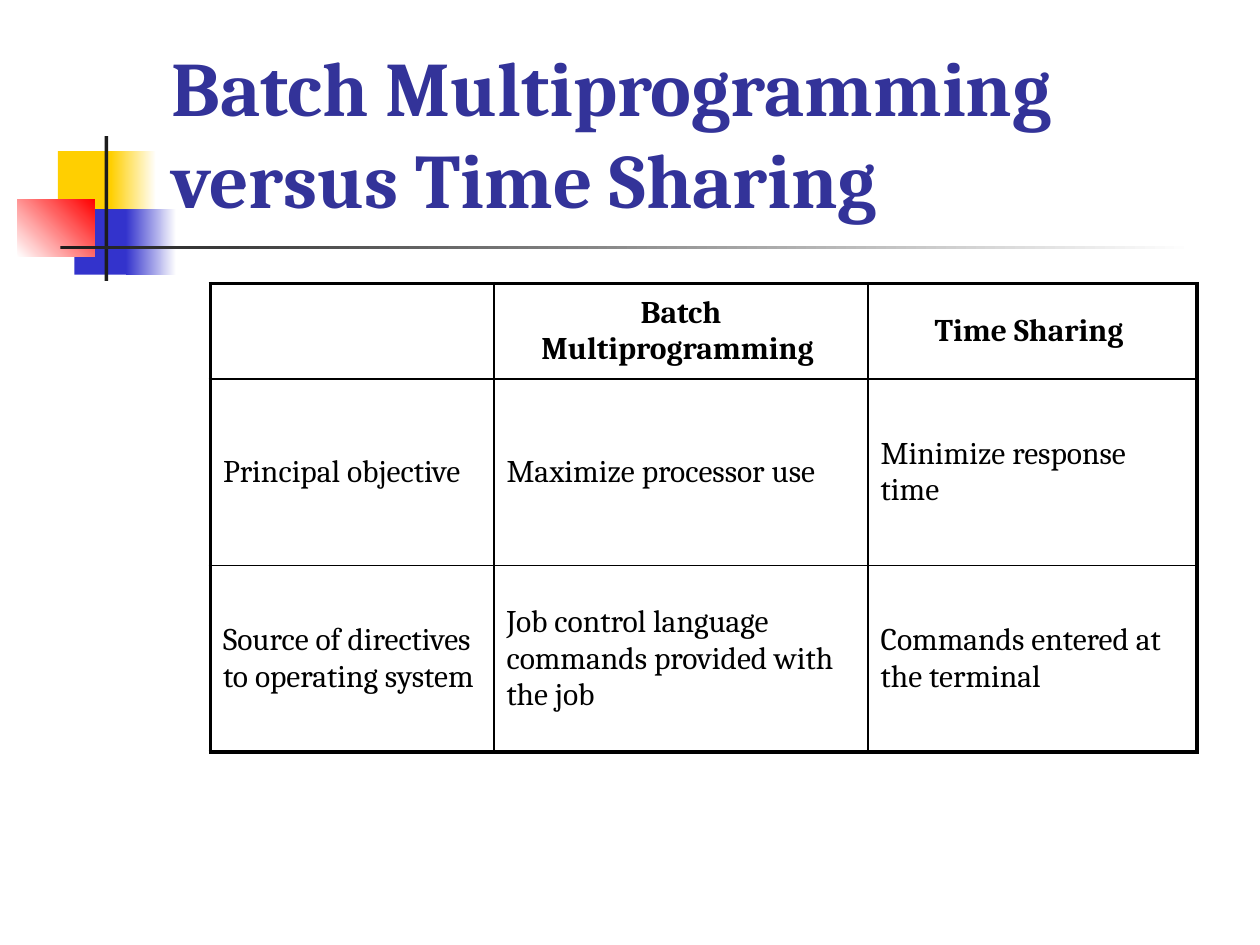
import pptx
import pptx.util
import pptx.dml.color
import pptx.enum.shapes
import pptx.enum.text
import pptx.oxml
import pptx.oxml.ns

Inches = pptx.util.Inches
Pt = pptx.util.Pt
Align = pptx.enum.text.PP_ALIGN
Anchor = pptx.enum.text.MSO_ANCHOR

COLORS = {
    "white": "FFFFFF", "black": "000000", "dark": "1C1C1C", "title": "333399",
    "gold": "FFCF01", "blue": "3333CC", "red": "FF0000",
}
THICK, THIN = 2.25, 1


def rgb(name):
    return pptx.dml.color.RGBColor.from_string(COLORS[name])


class Deck:
    font = "Cambria"

    def __init__(self, wide, high):
        self.prs = pptx.Presentation()
        self.prs.slide_width, self.prs.slide_height = Inches(wide), Inches(high)
        self.slide = self.prs.slides.add_slide(self.prs.slide_layouts[5])

    def style(self, para, size, color, bold, align=Align.LEFT):
        para.alignment = align
        font = para.font
        font.name, font.size, font.bold = self.font, Pt(size), bold
        font.color.rgb = rgb(color)

    def block(self, box, *colors, angle=0):
        """Add a plain rectangle, or a gradient one when two colours are given."""
        shape = self.slide.shapes.add_shape(
            pptx.enum.shapes.MSO_SHAPE.RECTANGLE, *map(Inches, box))
        shape.shadow.inherit = False
        shape.line.fill.background()
        if len(colors) == 1:
            shape.fill.solid()
            shape.fill.fore_color.rgb = rgb(colors[0])
            return
        shape.fill.gradient()
        shape.fill.gradient_angle = angle
        for stop, color, spot in zip(shape.fill.gradient_stops, colors, (0, 1)):
            stop.color.rgb, stop.position = rgb(color), spot

    def title(self, text, box):
        shape = self.slide.shapes.title
        shape.left, shape.top, shape.width, shape.height = map(Inches, box)
        frame = shape.text_frame
        frame.text = text
        frame.word_wrap = True
        frame.auto_size = pptx.enum.text.MSO_AUTO_SIZE.NONE
        frame.vertical_anchor = Anchor.BOTTOM
        self.style(frame.paragraphs[0], 44, "title", True)
        # Keep the title in front of the decoration
        self.slide.shapes._spTree.append(shape._element)

    def border(self, cell, widths):
        props = cell._tc.get_or_add_tcPr()
        for spot, (side, width) in enumerate(zip("LRTB", widths)):
            props.insert(spot, pptx.oxml.parse_xml(
                f'<a:ln{side} {pptx.oxml.ns.nsdecls("a")} w="{Pt(width)}"><a:solidFill>'
                f'<a:srgbClr val="{COLORS["black"]}"/></a:solidFill></a:ln{side}>'))

    def table(self, rows, left, top, widths, heights):
        table = self.slide.shapes.add_table(
            len(rows), len(widths), Inches(left), Inches(top),
            Inches(sum(widths)), Inches(sum(heights))).table
        table.first_row = table.horz_banding = False
        for col, width in zip(table.columns, widths):
            col.width = Inches(width)
        for row, height in zip(table.rows, heights):
            row.height = Inches(height)
        end_r, end_c = len(rows) - 1, len(widths) - 1
        for r, row in enumerate(rows):
            for c, text in enumerate(row):
                cell = table.cell(r, c)
                cell.fill.background()
                cell.vertical_anchor = Anchor.MIDDLE
                cell.text = text
                para = cell.text_frame.paragraphs[0]
                para.space_before = Pt(3.6)
                self.style(para, 18, "black", r == 0,
                           Align.CENTER if r == 0 else Align.LEFT)
                # Thick lines on the outer frame, thin ones inside
                outer = (c == 0, c == end_c, r == 0, r == end_r)
                self.border(cell, [THICK if edge else THIN for edge in outer])


def main():
    deck = Deck(10, 7.5)

    # Coloured squares
    deck.block((0.46, 1.2, 0.48, 0.52), "gold")
    deck.block((0.88, 1.2, 0.36, 0.52), "gold", "white")
    deck.block((0.59, 1.66, 0.46, 0.52), "blue")
    deck.block((1, 1.66, 0.4, 0.52), "blue", "white")
    deck.block((0.14, 1.58, 0.61, 0.46), "white", "red", angle=45)

    # Crossing bars
    deck.block((0.83, 1.08, 0.03, 1.15), "dark")
    deck.block((0.48, 1.95, 9, 0.03), "dark", "white")

    # Title
    deck.title("Batch Multiprogramming versus Time Sharing", (1.26, 0.23, 8.52, 1.6))

    # Comparison table
    deck.table([
        ("", "Batch Multiprogramming ", "Time Sharing "),
        ("Principal objective", "Maximize processor use", "Minimize response time"),
        ("Source of directives to operating system",
         "Job control language commands provided with the job",
         "Commands entered at the terminal"),
    ], 1.67, 2.25, (2.25, 2.97, 2.61), (0.76, 1.48, 1.48))

    deck.prs.save("out.pptx")


if __name__ == "__main__":
    main()
